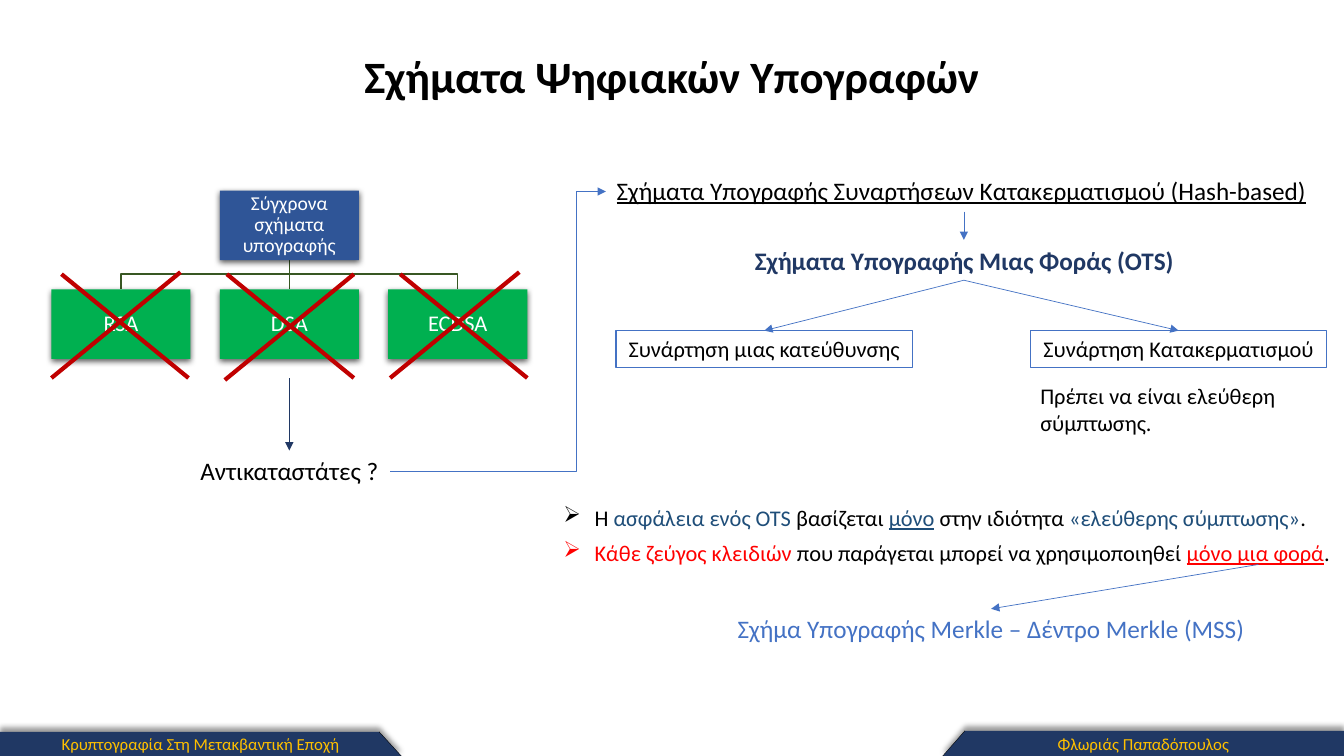
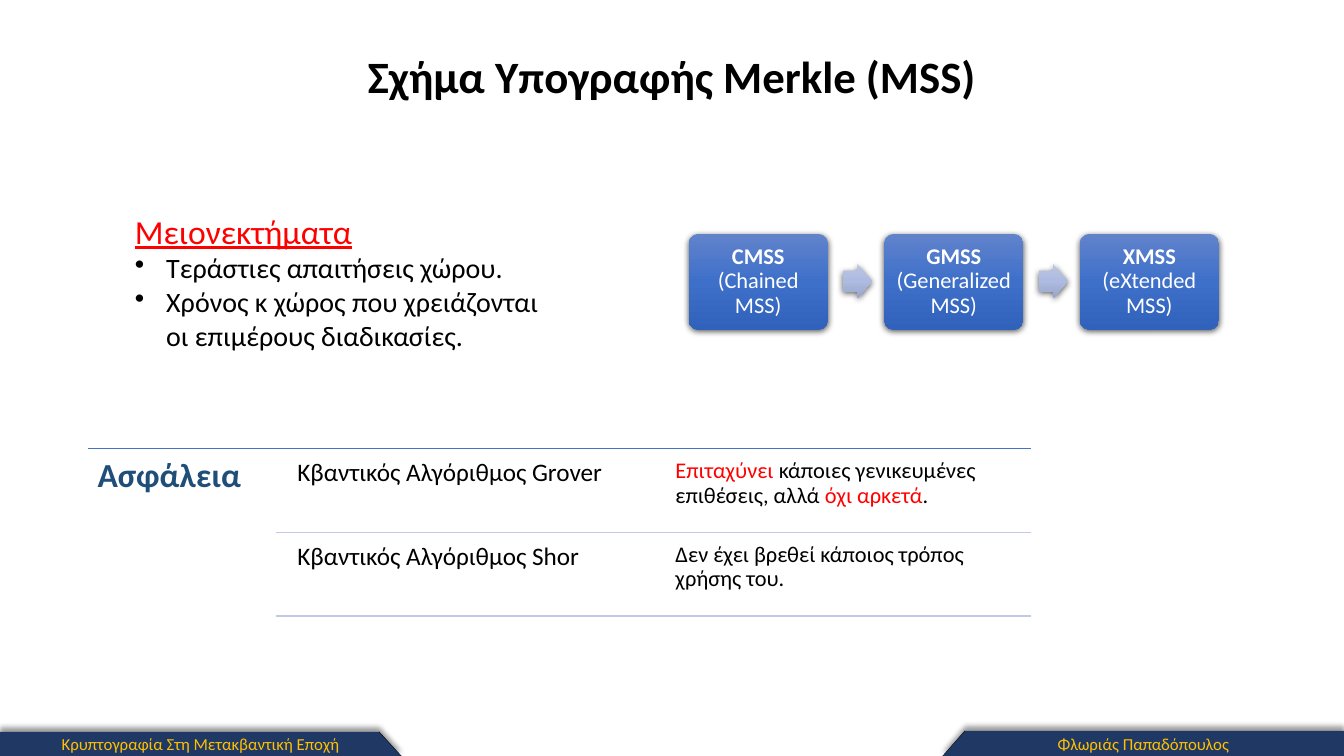
"""Build two slides on hash-based digital signature schemes."""
from dataclasses import dataclass

from lxml.etree import SubElement
from pptx import Presentation
from pptx.dml.color import RGBColor
from pptx.enum.shapes import MSO_CONNECTOR, MSO_SHAPE
from pptx.enum.text import MSO_ANCHOR, MSO_AUTO_SIZE, PP_ALIGN
from pptx.oxml.ns import qn
from pptx.util import Inches, Pt

LEFT, CENTER = PP_ALIGN.LEFT, PP_ALIGN.CENTER
TOP, MIDDLE = MSO_ANCHOR.TOP, MSO_ANCHOR.MIDDLE
STRAIGHT, ELBOW = MSO_CONNECTOR.STRAIGHT, MSO_CONNECTOR.ELBOW
RECTANGLE, ROUNDED = MSO_SHAPE.RECTANGLE, MSO_SHAPE.ROUNDED_RECTANGLE
RIGHT_ARROW = MSO_SHAPE.RIGHT_ARROW
TITLE_ONLY = 5


@dataclass(frozen=True)
class Theme:
    font: str = "Calibri"
    black: str = "000000"
    white: str = "FFFFFF"
    navy: str = "203864"
    blue: str = "4472C4"
    root_blue: str = "2F5597"
    deep_blue: str = "1F4E79"
    pale_blue: str = "C1C9E4"
    green: str = "00B050"
    dark_green: str = "385723"
    red: str = "FF0000"
    dark_red: str = "C00000"
    gold: str = "FFC000"
    box_gradient: tuple = ("6183CB", "3E70CA", "3062BB")
    arrow_gradient: tuple = ("BBC5E3", "AEBBE0", "98A4CB")
    title_size: int = 32
    heading_size: int = 24
    list_size: int = 20
    large_size: int = 18
    body_size: int = 16
    small_size: int = 14
    footer_size: int = 12


THEME = Theme()


@dataclass(frozen=True)
class Span:
    text: str
    color: str = None
    bold: bool = None
    underline: bool = None


@dataclass(frozen=True)
class Para:
    spans: tuple
    size: int = THEME.body_size
    color: str = THEME.black
    bold: bool = False
    align: PP_ALIGN = LEFT
    line_spacing: float = 1.0
    space_after: int = 0
    bullet: str = ""
    bullet_color: str = THEME.black


def child(parent, tag, **attributes):
    """Append an XML element and return it."""
    return SubElement(parent, qn(tag), attributes)


def add_bullet(para, symbol, color):
    """Give a paragraph a hanging bullet."""
    properties = para._p.get_or_add_pPr()
    indent = Inches(0.31)
    properties.set("marL", str(indent))
    properties.set("indent", str(-indent))
    child(child(properties, "a:buClr"), "a:srgbClr", val=color)
    child(properties, "a:buChar", char=symbol)


def write_text(frame, paras, anchor=TOP, inset=None):
    """Fill a text frame with formatted paragraphs."""
    frame.word_wrap = True
    frame.auto_size = MSO_AUTO_SIZE.NONE
    frame.vertical_anchor = anchor
    if inset is not None:
        frame.margin_left = frame.margin_right = Inches(inset)
        frame.margin_top = frame.margin_bottom = Inches(inset)
    for index, content in enumerate(paras):
        para = frame.add_paragraph() if index else frame.paragraphs[0]
        para.alignment = content.align
        para.line_spacing = content.line_spacing
        para.space_after = Pt(content.space_after)
        if content.bullet:
            add_bullet(para, content.bullet, content.bullet_color)
        para.font.name = THEME.font
        para.font.size = Pt(content.size)
        para.font.bold = content.bold
        para.font.color.rgb = RGBColor.from_string(content.color)
        for span in content.spans:
            run = para.add_run()
            run.text = span.text
            if span.color:
                run.font.color.rgb = RGBColor.from_string(span.color)
            if span.bold is not None:
                run.font.bold = span.bold
            if span.underline is not None:
                run.font.underline = span.underline


def add_text(page, area, *paras, inset=None):
    """Add a text box at left, top, width, height in inches."""
    box = page.shapes.add_textbox(*map(Inches, area))
    write_text(box.text_frame, paras, inset=inset)


def add_label(page, area, text, **style):
    """Add a centred one-paragraph text box in the large size."""
    add_text(page, area, Para((Span(text),), THEME.large_size, align=CENTER, **style))


def add_shadow(shape, alpha, blur, distance, angle):
    """Add an outer black shadow, measured in points and degrees."""
    shape.shadow.inherit = False
    effects = shape._element.spPr.find(qn("a:effectLst"))
    outer = child(effects, "a:outerShdw", blurRad=str(Pt(blur)), dist=str(Pt(distance)),
                  dir=str(angle * 60000), algn="ctr", rotWithShape="0")
    color = child(outer, "a:srgbClr", val=THEME.black)
    child(color, "a:alpha", val=str(alpha * 1000))


def paint_solid(shape, color):
    """Fill a shape with one colour and remove its outline."""
    shape.fill.solid()
    shape.fill.fore_color.rgb = RGBColor.from_string(color)
    shape.line.fill.background()


def paint_gradient(shape, colors):
    """Fill a shape with evenly spaced colours from top to bottom."""
    shape.fill.gradient()
    shape.fill.gradient_angle = 270
    stops = shape._element.spPr.find(".//" + qn("a:gsLst"))
    for stop in list(stops):
        stops.remove(stop)
    for index, color in enumerate(colors):
        position = index * 100000 // (len(colors) - 1)
        child(child(stops, "a:gs", pos=str(position)), "a:srgbClr", val=color)
    shape.line.fill.background()


def add_raised(page, kind, area, fill, adjustments=()):
    """Add a shape with a soft shadow and a solid or gradient fill."""
    shape = page.shapes.add_shape(kind, *map(Inches, area))
    for index, value in enumerate(adjustments):
        shape.adjustments[index] = value
    if isinstance(fill, str):
        paint_solid(shape, fill)
    else:
        paint_gradient(shape, fill)
    add_shadow(shape, 63, 4.5, 1.5, 90)
    return shape


def add_tree_box(page, left, top, text, fill, size):
    """Add one box of the scheme tree."""
    shape = add_raised(page, RECTANGLE, (left, top, 1.38, 0.69), fill)
    para = Para((Span(text),), size, THEME.white, align=CENTER, line_spacing=0.9)
    write_text(shape.text_frame, [para], MIDDLE, 0.01)


def add_outlined_box(page, left, text):
    """Add an unfilled box with a thin blue outline."""
    shape = page.shapes.add_shape(RECTANGLE, *map(Inches, (left, 3.28, 2.94, 0.37)))
    shape.shadow.inherit = False
    shape.fill.background()
    shape.line.color.rgb = RGBColor.from_string(THEME.blue)
    shape.line.width = Pt(0.75)
    write_text(shape.text_frame, [Para((Span(text),), align=CENTER)])


def add_line(page, start, end, color, width, kind=STRAIGHT, arrow=False):
    """Add a connector between two points, with an optional arrowhead."""
    line = page.shapes.add_connector(kind, *map(Inches, start + end))
    line.line.color.rgb = RGBColor.from_string(color)
    line.line.width = Pt(width)
    properties = line._element.spPr
    if arrow:
        child(properties.find(qn("a:ln")), "a:tailEnd", type="triangle")
    child(properties, "a:effectLst")
    return line


def add_arrow(page, start, end, color=THEME.blue, kind=STRAIGHT):
    """Add a thin arrow."""
    return add_line(page, start, end, color, 0.5, kind, arrow=True)


def add_outline(page, points, close):
    """Add a freeform through the given points."""
    corners = [tuple(map(Inches, point)) for point in points]
    builder = page.shapes.build_freeform(*corners[0])
    builder.add_line_segments(corners[1:], close=close)
    shape = builder.convert_to_shape()
    shape.shadow.inherit = False
    return shape


def add_footer(page, edge, shoulder, tip, top, text):
    """Add a slanted footer band with its label."""
    points = [(edge, top), (shoulder, top), (tip, 7.5), (edge, 7.5)]
    band = add_outline(page, points, True)
    paint_solid(band, THEME.navy)
    add_shadow(band, 40, 4, 3, 270)
    para = Para((Span(text),), THEME.footer_size, THEME.gold, align=CENTER)
    write_text(band.text_frame, [para], MIDDLE)
    add_line(page, (shoulder, top), (tip, 7.5), THEME.black, 0.25)


def add_page(deck, title):
    """Add a slide with the shared title and footers."""
    page = deck.slides.add_slide(deck.slide_layouts[TITLE_ONLY])
    holder = page.shapes.title
    holder.left, holder.top, holder.width, holder.height = map(Inches, (1.94, 0.43, 9.45, 0.64))
    para = Para((Span(title),), THEME.title_size, bold=True, align=CENTER)
    write_text(holder.text_frame, [para], MIDDLE)
    add_footer(page, 13.33, 9.57, 9.35, 7.25, "Φλωριάς Παπαδόπουλος")
    add_footer(page, 0, 3.76, 3.98, 7.26, "Κρυπτογραφία Στη Μετακβαντική Εποχή")
    return page


def add_scheme_tree(page):
    """Draw the current schemes, each crossed out."""
    root_x, root_bottom, bus_y, leaf_top = 2.87, 2.58, 2.72, 2.87
    for leaf_x in (1.2, 4.54):
        points = [(root_x, root_bottom), (root_x, bus_y), (leaf_x, bus_y), (leaf_x, leaf_top)]
        branch = add_outline(page, points, False)
        branch.fill.background()
        branch.line.color.rgb = RGBColor.from_string(THEME.dark_green)
        branch.line.width = Pt(1)
    add_line(page, (root_x, root_bottom), (root_x, leaf_top), THEME.dark_green, 1)
    add_tree_box(page, 2.18, 1.89, "Σύγχρονα σχήματα υπογραφής", THEME.root_blue, THEME.small_size)
    schemes = [("RSA", 0.61, 0.51, 2.7), ("DSA", 2.25, 2.23, 2.72), ("ECDSA", 3.97, 3.87, 2.7)]
    for index, (name, falling, rising, rising_top) in enumerate(schemes):
        add_tree_box(page, 0.51 + 1.67 * index, leaf_top, name, THEME.green, THEME.body_size)
        add_line(page, (falling, 2.72), (falling + 1.26, 3.75), THEME.dark_red, 3)
        add_line(page, (rising + 1.28, rising_top), (rising, rising_top + 1.05), THEME.dark_red, 3)


def build_signatures(deck):
    """Build the overview of signature schemes."""
    page = add_page(deck, "Σχήματα Ψηφιακών Υπογραφών")
    add_scheme_tree(page)
    add_label(page, (1.87, 4.47, 2, 0.4), "Αντικαταστάτες ?")
    add_arrow(page, (2.87, 3.75), (2.87, 4.47), THEME.navy)
    heading = Span("Σχήματα Υπογραφής Συναρτήσεων Κατακερματισμού (Hash-based)", underline=True)
    add_text(page, (5.98, 1.69, 7.11, 0.4), Para((heading,), THEME.large_size, align=CENTER))
    bend = add_arrow(page, (3.87, 4.68), (6.01, 1.9), kind=ELBOW)
    guides = bend._element.spPr.find(".//" + qn("a:avLst"))
    child(guides, "a:gd", name="adj1", fmla="val 86200")
    add_label(page, (7.38, 2.38, 4.37, 0.4), "Σχήματα Υπογραφής Μιας Φοράς (OTS)",
              color=THEME.navy, bold=True)
    add_arrow(page, (9.56, 2.1), (9.56, 2.38))
    functions = [(6.11, "Συνάρτηση μιας κατεύθυνσης"), (10.22, "Συνάρτηση Κατακερματισμού")]
    for left, text in functions:
        add_outlined_box(page, left, text)
        add_arrow(page, (9.56, 2.78), (left + 1.47, 3.28))
    add_text(page, (10.22, 3.74, 2.9, 0.64), Para((Span("Πρέπει να είναι ελεύθερη σύμπτωσης."),)))
    security = (Span("Η "), Span("ασφάλεια ενός OTS ", THEME.deep_blue), Span("βασίζεται "),
                Span("μόνο", THEME.deep_blue, underline=True), Span(" στην ιδιότητα "),
                Span("«ελεύθερης σύμπτωσης»", THEME.deep_blue), Span("."))
    key_pair = (Span("Κάθε ζεύγος κλειδιών", THEME.red),
                Span(" που παράγεται μπορεί να χρησιμοποιηθεί "),
                Span("μόνο μια φορά", THEME.red, underline=True), Span("."))
    add_text(page, (5.49, 4.95, 7.84, 0.72), Para(security, space_after=6, bullet="➢"),
             Para(key_pair, space_after=6, bullet="➢", bullet_color=THEME.red))
    add_label(page, (7.18, 6.04, 5.3, 0.4), "Σχήμα Υπογραφής Merkle – Δέντρο Merkle (MSS)",
              color=THEME.blue)
    add_arrow(page, (12.48, 5.6), (9.83, 6.04))


def build_merkle(deck):
    """Build the slide on the Merkle scheme."""
    page = add_page(deck, "Σχήμα Υπογραφής Merkle (MSS)")
    drawbacks = ("Τεράστιες απαιτήσεις χώρου.",
                 "Χρόνος κ χώρος που χρειάζονται οι επιμέρους διαδικασίες.")
    add_text(page, (1.24, 2.04, 4.22, 1.51),
             Para((Span("Μειονεκτήματα", underline=True),), THEME.heading_size, THEME.red),
             *(Para((Span(text),), THEME.list_size, bullet="•") for text in drawbacks))
    variants = [("CMSS", " (Chained MSS)"), ("GMSS", " (Generalized MSS)"),
                ("XMSS", " (eXtended MSS)")]
    for index, (name, meaning) in enumerate(variants):
        left = 6.83 + 1.94 * index
        box = add_raised(page, ROUNDED, (left, 2.32, 1.38, 0.95), THEME.box_gradient, (0.1,))
        para = Para((Span(name, bold=True), Span(meaning)), color=THEME.white,
                    align=CENTER, line_spacing=0.9)
        write_text(box.text_frame, [para], MIDDLE, 0.07)
        if index:
            add_raised(page, RIGHT_ARROW, (left - 0.41, 2.62, 0.29, 0.34),
                       THEME.arrow_gradient, (0.6, 0.5))
    top, row_height = 4.45, 0.83
    add_line(page, (0.87, top), (10.23, top), THEME.blue, 1)
    add_text(page, (0.87, top, 1.87, 1.7), Para((Span("Ασφάλεια"),), THEME.heading_size,
             THEME.deep_blue, True, line_spacing=0.9), inset=0.1)
    attacks = [("Κβαντικός Αλγόριθμος Grover",
                (Span("Επιταχύνει", THEME.red), Span(" κάποιες γενικευμένες επιθέσεις, αλλά "),
                 Span("όχι αρκετά", THEME.red), Span("."))),
               ("Κβαντικός Αλγόριθμος Shor", (Span("Δεν έχει βρεθεί κάποιος τρόπος χρήσης του."),))]
    for index, (name, effect) in enumerate(attacks):
        row_top = top + row_height * index
        cells = [(2.88, Para((Span(name),), THEME.large_size, line_spacing=0.9)),
                 (6.63, Para(effect, line_spacing=0.9))]
        for left, para in cells:
            add_text(page, (left, row_top + 0.04, 3.6, 0.79), para, inset=0.07)
        rule_y = row_top + row_height
        add_line(page, (2.74, rule_y), (10.23, rule_y), THEME.pale_blue, 1)


def main():
    """Build and save the deck."""
    deck = Presentation()
    deck.slide_width, deck.slide_height = Inches(13.33), Inches(7.5)
    build_signatures(deck)
    build_merkle(deck)
    deck.save("out.pptx")


if __name__ == "__main__":
    main()
